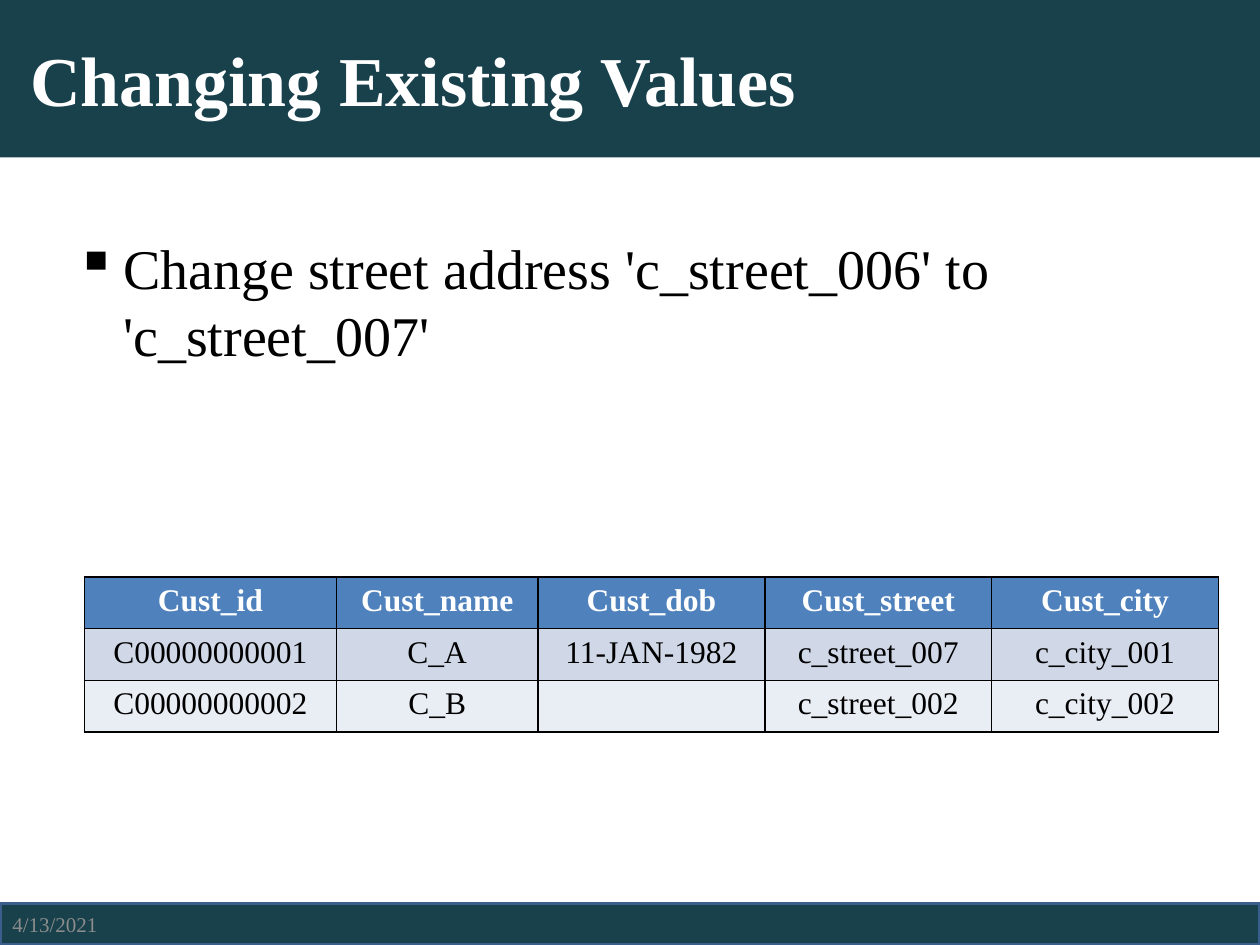
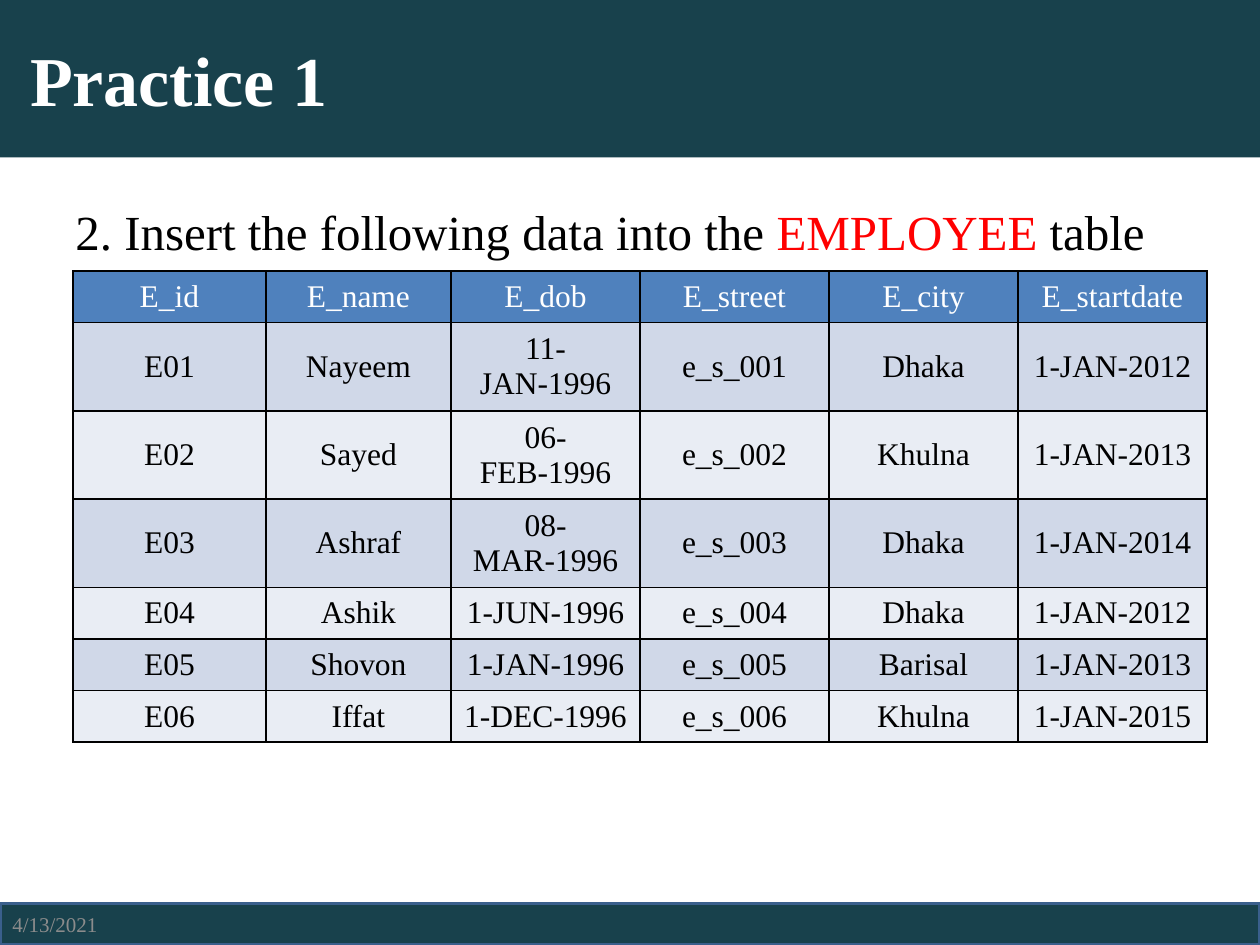
from dataclasses import dataclass

from lxml import etree
from pptx import Presentation
from pptx.dml.color import RGBColor
from pptx.enum.shapes import MSO_SHAPE
from pptx.enum.text import MSO_ANCHOR, PP_ALIGN
from pptx.oxml.ns import qn
from pptx.util import Inches, Pt

RECT = MSO_SHAPE.RECTANGLE
TOP, MIDDLE = MSO_ANCHOR.TOP, MSO_ANCHOR.MIDDLE
CENTER = PP_ALIGN.CENTER


@dataclass(frozen=True)
class Theme:
    face: str = "Times New Roman"
    band: str = "18414C"
    edge: str = "3A5F8C"
    white: str = "FFFFFF"
    black: str = "000000"
    red: str = "FF0000"
    grey: str = "8C8C8C"
    head: str = "4F81BD"
    rows: tuple = ("D0D8E8", "E9EDF4")
    title_size: int = 40
    cell_size: int = 18
    date_size: int = 12


THEME = Theme()
WIDTH, HEIGHT = 10, 7.5
BAND_H, FOOT_H = 1.25, 0.33
FOOT_Y = HEIGHT - FOOT_H
DATE = "4/13/2021"
LINE_H, PAIR_H = 0.41, 0.65  # rows with one and two lines of text

SLIDES = [
    {
        "title": "Changing Existing Values",
        "body": [("Change street address 'c_street_006' to 'c_street_007'", THEME.black)],
        "size": 32, "top": 1.75, "bullet": "▪",
        "table": {
            "at": (0.67, 4.58), "anchor": TOP, "bold": True,
            "cols": [2, 1.6, 1.8, 1.8, 1.8],
            "heights": [LINE_H] * 3,
            "cells": [
                ["Cust_id", "Cust_name", "Cust_dob", "Cust_street", "Cust_city"],
                ["C00000000001", "C_A", "11-JAN-1982", "c_street_007", "c_city_001"],
                ["C00000000002", "C_B", "", "c_street_002", "c_city_002"],
            ],
        },
    },
    {
        "title": "Practice 1",
        "body": [("2. Insert the following data into the ", THEME.black),
                 ("EMPLOYEE", THEME.red), (" table", THEME.black)],
        "size": 28, "top": 1.5, "bullet": None,
        "table": {
            "at": (0.58, 2.15), "anchor": MIDDLE, "bold": False,
            "cols": [1.53, 1.47] + [1.5] * 4,
            "heights": [LINE_H] + [PAIR_H] * 3 + [LINE_H] * 3,
            "cells": [
                ["E_id", "E_name", "E_dob", "E_street", "E_city", "E_startdate"],
                ["E01", "Nayeem", "11-JAN-1996", "e_s_001", "Dhaka", "1-JAN-2012"],
                ["E02", "Sayed", "06-FEB-1996", "e_s_002", "Khulna", "1-JAN-2013"],
                ["E03", "Ashraf", "08-MAR-1996", "e_s_003", "Dhaka", "1-JAN-2014"],
                ["E04", "Ashik", "1-JUN-1996", "e_s_004", "Dhaka", "1-JAN-2012"],
                ["E05", "Shovon", "1-JAN-1996", "e_s_005", "Barisal", "1-JAN-2013"],
                ["E06", "Iffat", "1-DEC-1996", "e_s_006", "Khulna", "1-JAN-2015"],
            ],
        },
    },
]


def color(code):
    return RGBColor.from_string(code)


def style(font, size, code, bold=False):
    font.name, font.size, font.bold = THEME.face, Pt(size), bold
    font.color.rgb = color(code)


def paint(part, code):
    part.fill.solid()
    part.fill.fore_color.rgb = color(code)


def add_band(slide, top, height):
    band = slide.shapes.add_shape(RECT, 0, Inches(top), Inches(WIDTH), Inches(height))
    band.shadow.inherit = False
    paint(band, THEME.band)
    band.line.fill.background()
    return band


def add_box(slide, left, top, width, height, anchor=TOP):
    box = slide.shapes.add_textbox(*map(Inches, (left, top, width, height)))
    box.text_frame.word_wrap = True
    box.text_frame.vertical_anchor = anchor
    return box.text_frame


def add_frame(slide, title):
    """Draw the title band and the dated footer."""
    foot = add_band(slide, FOOT_Y, FOOT_H)
    foot.line.color.rgb = color(THEME.edge)
    foot.line.width = Pt(2)

    frame = add_band(slide, 0, BAND_H).text_frame
    frame.word_wrap = True
    frame.vertical_anchor = MIDDLE
    frame.margin_left = Inches(0.24)
    frame.text = title
    para = frame.paragraphs[0]
    para.alignment = PP_ALIGN.LEFT
    style(para.font, THEME.title_size, THEME.white, True)

    date = add_box(slide, 0, FOOT_Y, 2.33, FOOT_H, MIDDLE)
    date.text = DATE
    style(date.paragraphs[0].font, THEME.date_size, THEME.grey)


def add_body(slide, runs, size, top, bullet):
    frame = add_box(slide, 0.5, top, 9, 4.95)
    frame.margin_top = Inches(0.1)
    para = frame.paragraphs[0]
    props = para._p.get_or_add_pPr()
    props.set("marL", str(Inches(0.38)))
    props.set("indent", str(-Inches(0.38)))
    if bullet:
        etree.SubElement(props, qn("a:buChar")).set("char", bullet)
    else:
        etree.SubElement(props, qn("a:buNone"))
    style(para.font, size, THEME.black)
    for text, code in runs:
        run = para.add_run()
        run.text = text
        run.font.color.rgb = color(code)


def add_edges(cell):
    props = cell._tc.get_or_add_tcPr()
    for side in "LRTB":
        line = etree.SubElement(props, qn(f"a:ln{side}"), w=str(Pt(1)))
        fill = etree.SubElement(line, qn("a:solidFill"))
        etree.SubElement(fill, qn("a:srgbClr"), val=THEME.black)


def add_grid(slide, at, anchor, bold, cols, heights, cells):
    size = (sum(cols), sum(heights))
    table = slide.shapes.add_table(
        len(cells), len(cols), *map(Inches, at + size)).table
    for col, width in zip(table.columns, cols):
        col.width = Inches(width)
    for r, texts in enumerate(cells):
        table.rows[r].height = Inches(heights[r])
        head = r == 0
        for c, text in enumerate(texts):
            cell = table.cell(r, c)
            cell.text = text
            cell.vertical_anchor = anchor
            add_edges(cell)
            paint(cell, THEME.head if head else THEME.rows[(r - 1) % 2])
            para = cell.text_frame.paragraphs[0]
            para.alignment = CENTER
            style(para.font, THEME.cell_size,
                  THEME.white if head else THEME.black, head and bold)


def main():
    deck = Presentation()
    deck.slide_width, deck.slide_height = Inches(WIDTH), Inches(HEIGHT)
    for page in SLIDES:
        slide = deck.slides.add_slide(deck.slide_layouts[6])
        add_frame(slide, page["title"])
        add_body(slide, page["body"], page["size"], page["top"], page["bullet"])
        add_grid(slide, **page["table"])
    deck.save("out.pptx")


if __name__ == "__main__":
    main()
